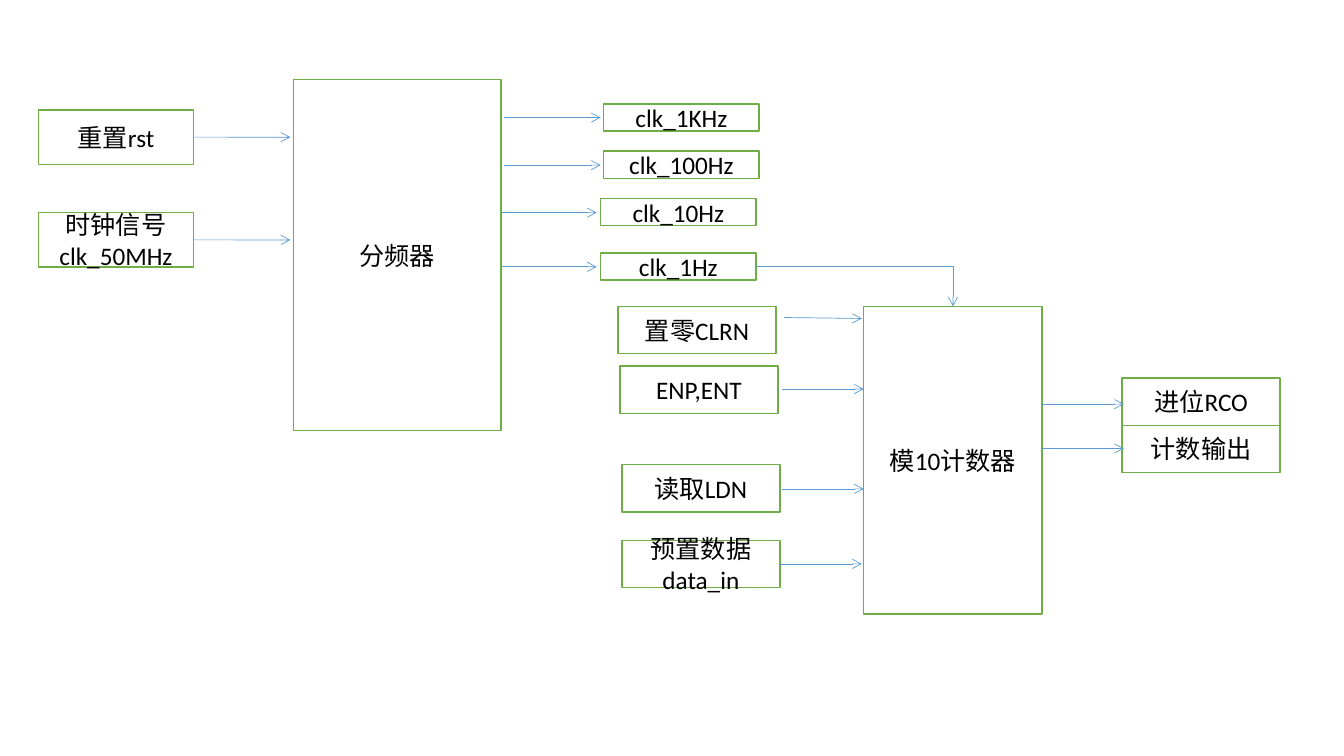
import dataclasses
import typing

import lxml.etree
import pptx
import pptx.dml.color
import pptx.enum.shapes
import pptx.enum.text
import pptx.oxml
import pptx.oxml.ns
import pptx.util

Pt = pptx.util.Pt
COLOURS = {"fill": "FFFFFF", "border": "70AD47", "arrow": "5B9BD5", "text": "000000"}
RIGHT, TOP = 3, 0


@dataclasses.dataclass(frozen=True)
class Block:
    text: str
    left: float
    top: float
    width: float
    height: float


@dataclasses.dataclass(frozen=True)
class Arrow:
    start_x: float
    start_y: float
    end_x: float
    end_y: float
    source: typing.Optional[str] = None
    target: typing.Optional[str] = None
    bent: bool = False


SIGNAL, CLOCK, PORT = (110.9, 38.9), (110.9, 19.4), (113, 33.8)

BLOCKS = [
    Block("分频器", 209.5, 56.9, 148.3, 250.6),
    Block("重置rst", 27.4, 78.5, *SIGNAL),
    Block("时钟信号clk_50MHz", 27.4, 151.9, *SIGNAL),
    Block("clk_1KHz", 431.3, 74.2, *CLOCK),
    Block("clk_100Hz", 431.3, 108, *CLOCK),
    Block("clk_10Hz", 429.1, 141.8, *CLOCK),
    Block("clk_1Hz", 429.1, 180.7, *CLOCK),
    Block("置零CLRN", 441.4, 218.9, *PORT),
    Block("ENP,ENT", 442.8, 261.4, *PORT),
    Block("读取LDN", 444.2, 331.9, *PORT),
    Block("预置数据data_in", 444.2, 385.9, *PORT),
    Block("模10计数器", 617, 218.9, 127.4, 219.6),
    Block("进位RCO", 801.4, 270, *PORT),
    Block("计数输出", 801.4, 303.8, *PORT),
]

ARROWS = [
    Arrow(138.3, 98, 207.4, 98, "重置rst"),
    Arrow(138.3, 171.4, 207.4, 171.4, "时钟信号clk_50MHz"),
    Arrow(360, 84, 429.1, 84),
    Arrow(360, 118, 429.1, 118),
    Arrow(357.8, 151.9, 426.2, 151.9),
    Arrow(357.8, 190.6, 426.2, 190.6),
    Arrow(540, 190.4, 680.7, 218.9, "clk_1Hz", "模10计数器", True),
    Arrow(560.2, 226.8, 615.6, 227.5),
    Arrow(558.7, 277.9, 617, 277.9),
    Arrow(558.7, 349.2, 617, 349.2),
    Arrow(557.2, 402.8, 615.6, 402.8, "预置数据data_in"),
    Arrow(744.4, 288.7, 802.8, 288.7),
    Arrow(744.4, 320.4, 802.8, 320.4),
]


def colour(name: str) -> pptx.dml.color.RGBColor:
    """Return the named palette colour."""
    return pptx.dml.color.RGBColor.from_string(COLOURS[name])


def draw_block(page: typing.Any, block: Block) -> typing.Any:
    """Draw a green-bordered rectangle with a centred label."""
    box = page.shapes.add_shape(
        pptx.enum.shapes.MSO_SHAPE.RECTANGLE,
        Pt(block.left), Pt(block.top), Pt(block.width), Pt(block.height),
    )
    box.shadow.inherit = False
    box.fill.solid()
    box.fill.fore_color.rgb = colour("fill")
    box.line.color.rgb = colour("border")
    box.line.width = Pt(1)
    frame = box.text_frame
    frame.word_wrap = True
    frame.vertical_anchor = pptx.enum.text.MSO_ANCHOR.MIDDLE
    para = frame.paragraphs[0]
    para.text = block.text
    para.alignment = pptx.enum.text.PP_ALIGN.CENTER
    para.font.name = "Calibri"
    para.font.size = Pt(18)
    para.font.color.rgb = colour("text")
    return box


def draw_arrow(page: typing.Any, arrow: Arrow, boxes: dict[str, typing.Any]) -> None:
    """Draw a thin blue arrow, joined to its boxes where they are named."""
    kinds = pptx.enum.shapes.MSO_CONNECTOR
    connector = page.shapes.add_connector(
        kinds.ELBOW if arrow.bent else kinds.STRAIGHT,
        Pt(arrow.start_x), Pt(arrow.start_y), Pt(arrow.end_x), Pt(arrow.end_y),
    )
    if arrow.source:
        connector.begin_connect(boxes[arrow.source], RIGHT)
    if arrow.target:
        connector.end_connect(boxes[arrow.target], TOP)
    connector.line.color.rgb = colour("arrow")
    connector.line.width = Pt(0.5)
    qn = pptx.oxml.ns.qn
    properties = connector._element.spPr
    if arrow.bent:
        properties.find(qn("a:prstGeom")).set("prst", "bentConnector2")
    lxml.etree.SubElement(properties.find(qn("a:ln")), qn("a:tailEnd"), type="arrow")
    lxml.etree.SubElement(properties, qn("a:effectLst"))


def main() -> None:
    """Build the counter block diagram."""
    deck = pptx.Presentation()
    deck.slide_width, deck.slide_height = Pt(960), Pt(540)
    page = deck.slides.add_slide(deck.slide_layouts[6])
    boxes = {block.text: draw_block(page, block) for block in BLOCKS}
    for arrow in ARROWS:
        draw_arrow(page, arrow, boxes)
    deck.save("out.pptx")


if __name__ == "__main__":
    main()
